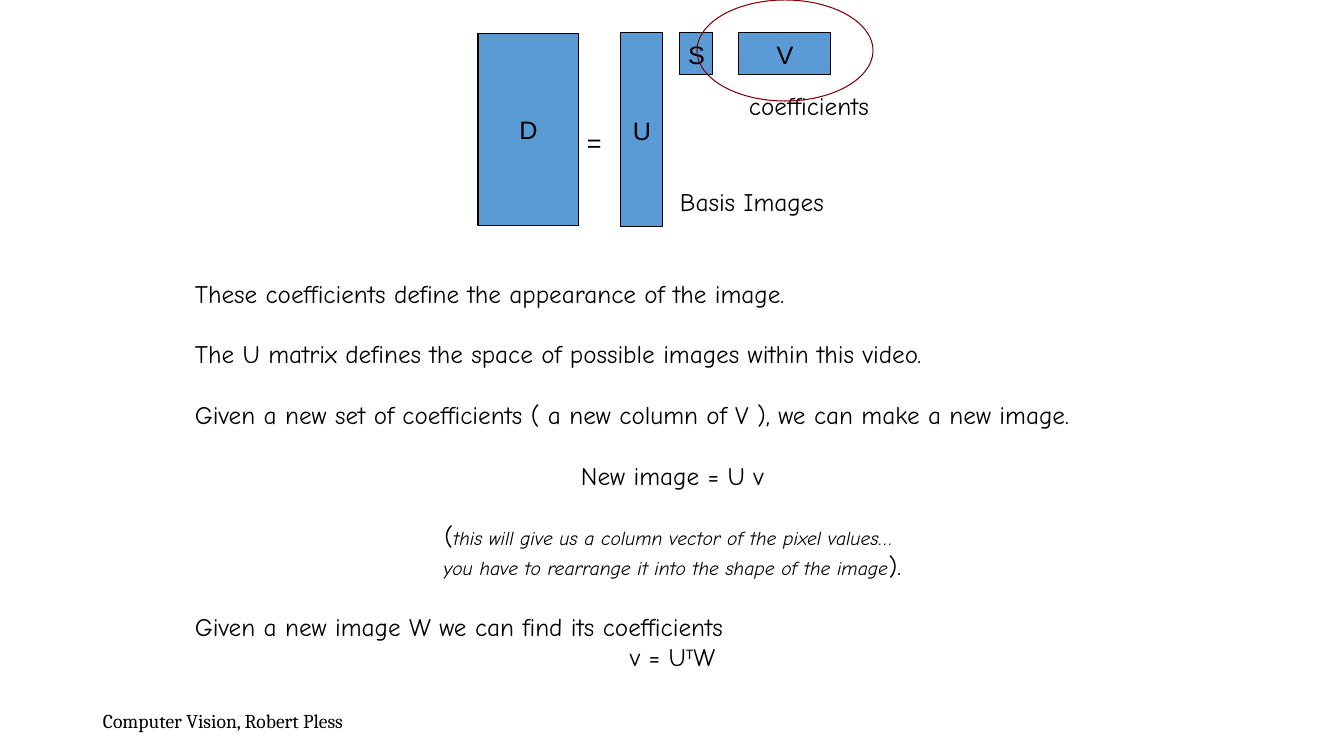
from pptx import Presentation
from pptx.dml.color import RGBColor
from pptx.enum.shapes import MSO_SHAPE
from pptx.enum.text import MSO_ANCHOR, MSO_AUTO_SIZE, PP_ALIGN
from pptx.util import Pt

RECTANGLE, OVAL = MSO_SHAPE.RECTANGLE, MSO_SHAPE.OVAL
TOP, MIDDLE = MSO_ANCHOR.TOP, MSO_ANCHOR.MIDDLE
FIT, FIXED = MSO_AUTO_SIZE.SHAPE_TO_FIT_TEXT, MSO_AUTO_SIZE.NONE
LEFT, CENTER = PP_ALIGN.LEFT, PP_ALIGN.CENTER

EMU_PER_PX = 914400 / 100.8
HAND, SANS, SERIF = "Comic Neue", "Arial", "Cambria"
BLACK, BLUE, MAROON = "000000", "5B9BD5", "800000"
BLANK_LINE = 21.7
NOTE = {"size": 14, "italic": True}
SUPERSCRIPT = {"font": "Calibri", "baseline": 30000}

# Each paragraph: alignment, space before in points, spans of (text, format)
EXPLANATION = [
    (LEFT, 0, [("These coefficients define the appearance of the image.", {})]),
    (LEFT, BLANK_LINE, [("The U matrix defines the space of possible images within this video.", {})]),
    (LEFT, BLANK_LINE, [("Given a new set of coefficients ( a new column of V ), we can make a new image.", {})]),
    (CENTER, BLANK_LINE, [("New image = U v", {})]),
    (CENTER, BLANK_LINE, [("(", {}), ("this will give us a column vector of the pixel values… ", NOTE)]),
    (CENTER, 0, [("you have to rearrange it into the shape of the image", NOTE), (").", {})]),
    (LEFT, BLANK_LINE, [("Given a new image W we can find its coefficients", {})]),
    (CENTER, 0, [("v = U", {}), ("T", SUPERSCRIPT), ("W", {})]),
]


def px(length):
    return round(length * EMU_PER_PX)


def color(hex_string):
    return RGBColor.from_string(hex_string)


def add_span(para, text, font=HAND, size=18, italic=False, baseline=None):
    span = para.add_run()
    span.text = text
    span.font.name = font
    span.font.size = Pt(size)
    span.font.italic = italic
    span.font.color.rgb = color(BLACK)
    if baseline:
        span.font._element.set("baseline", str(baseline))


def add_text(page, box, text, anchor=TOP, wrap=False, fit=FIT, **text_format):
    """Add a text box; text is a string or a list of paragraphs."""
    frame = page.shapes.add_textbox(*map(px, box)).text_frame
    frame.word_wrap = wrap
    frame.auto_size = fit
    frame.vertical_anchor = anchor
    paragraphs = [(LEFT, 0, [(text, text_format)])] if isinstance(text, str) else text
    for index, (align, before, spans) in enumerate(paragraphs):
        para = frame.add_paragraph() if index else frame.paragraphs[0]
        para.alignment = align
        if before:
            para.space_before = Pt(before)
        for words, span_format in spans:
            add_span(para, words, **span_format)


def add_outlined(page, kind, box, line):
    shape = page.shapes.add_shape(kind, *map(px, box))
    shape.shadow.inherit = False
    shape.line.color.rgb = color(line)
    shape.line.width = Pt(0.75)
    return shape


def add_matrix(page, box, name):
    matrix = add_outlined(page, RECTANGLE, box, BLACK)
    matrix.fill.solid()
    matrix.fill.fore_color.rgb = color(BLUE)
    frame = matrix.text_frame
    frame.word_wrap = False
    frame.vertical_anchor = MIDDLE
    frame.paragraphs[0].alignment = CENTER
    add_span(frame.paragraphs[0], name, font=SANS)


def add_decomposition(page, left, top):
    """Draw D = U S V with its labels and the ring around V."""
    add_matrix(page, (left, top, 101, 193), "D")
    add_text(page, (left + 99, top + 89, 35, 40), "=", font=SANS)
    add_matrix(page, (left + 143, top, 42, 194), "U")
    add_matrix(page, (left + 202, top, 33, 42), "S")
    add_matrix(page, (left + 261, top, 92, 42), "V")
    add_text(page, (left + 192, top + 148, 174, 40), "Basis Images")
    add_text(page, (left + 261, top + 52, 164, 40), "coefficients")
    add_outlined(page, OVAL, (left + 219, top - 33, 176, 101), MAROON).fill.background()


def build_slide(deck):
    page = deck.slides.add_slide(deck.slide_layouts[6])
    add_text(page, (93, 701, 302, 40), "Computer Vision, Robert Pless",
             anchor=MIDDLE, wrap=True, fit=FIXED, font=SERIF, size=14)
    add_decomposition(page, 478, 33)
    add_text(page, (185, 273, 975, 404), EXPLANATION, wrap=True)


def main():
    deck = Presentation()
    deck.slide_width, deck.slide_height = px(1344), px(756)
    build_slide(deck)
    deck.save("out.pptx")


if __name__ == "__main__":
    main()
